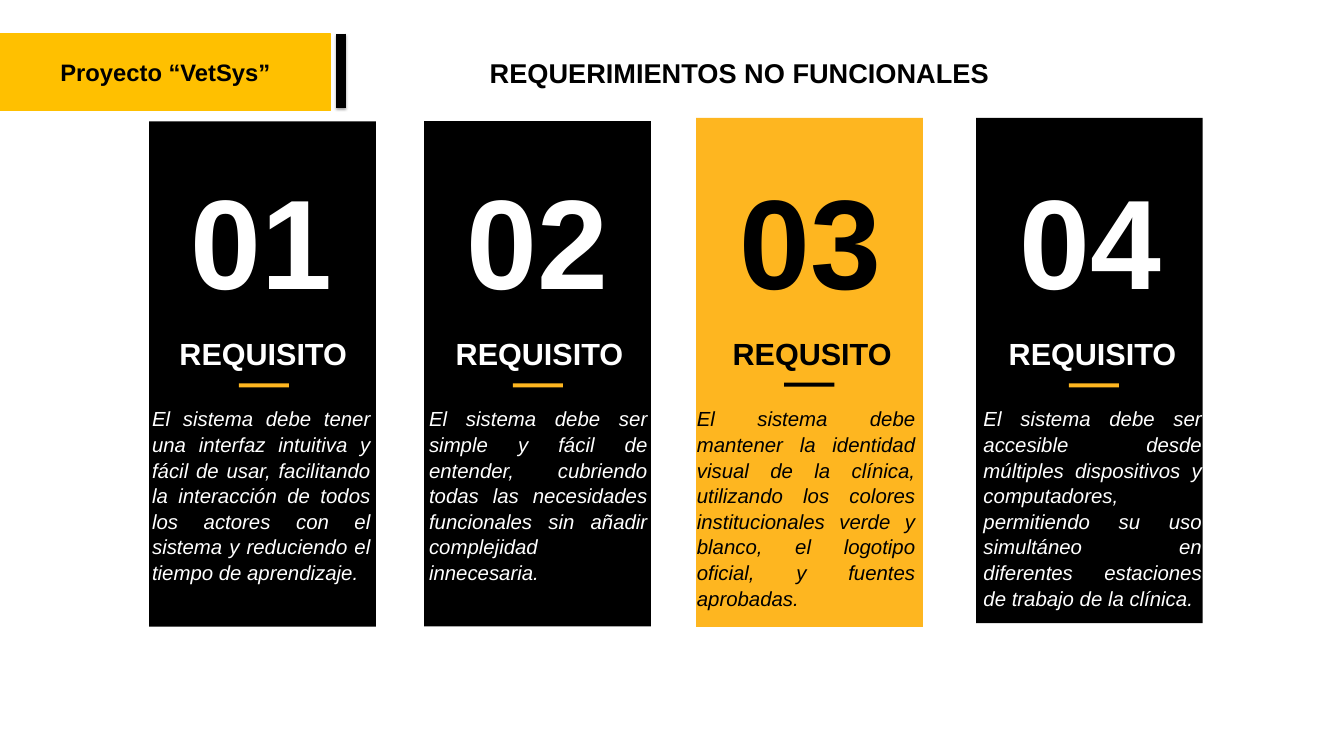
from dataclasses import dataclass

from lxml.etree import SubElement
from pptx import Presentation
from pptx.dml.color import RGBColor
from pptx.enum.shapes import MSO_CONNECTOR as Connector, MSO_SHAPE as Shape
from pptx.enum.text import MSO_ANCHOR as Anchor, MSO_AUTO_SIZE as AutoSize, PP_ALIGN as Align
from pptx.oxml.ns import qn
from pptx.util import Cm, Pt


@dataclass(frozen=True)
class Theme:
    font: str = "Arial"
    black: str = "000000"
    white: str = "FFFFFF"
    amber: str = "FEB620"
    gold: str = "FFC000"
    number_size: int = 150
    heading_size: int = 36
    title_size: int = 32
    tag_size: int = 28
    body_size: int = 24


@dataclass(frozen=True)
class Card:
    """One requirement; lefts and tops are in centimetres."""
    number: str
    heading: str
    body: str
    panel: tuple
    heading_left: float
    rule: tuple
    body_left: float
    highlighted: bool = False


CARDS = [
    Card("01", "REQUISITO",
         "El sistema debe tener una interfaz intuitiva y fácil de usar, facilitando la "
         "interacción de todos los actores con el sistema y reduciendo el tiempo de aprendizaje.",
         (6.2, 5.05, 21), 6.76, (9.93, 15.93), 6.32),
    Card("02", "REQUISITO",
         "El sistema debe ser simple y fácil de entender, cubriendo todas las necesidades "
         "funcionales sin añadir complejidad innecesaria.",
         (17.63, 5.03, 21), 18.24, (21.31, 15.93), 17.83),
    Card("03", "REQUSITO",
         "El sistema debe mantener la identidad visual de la clínica, utilizando los colores "
         "institucionales verde y blanco, el logotipo oficial, y fuentes aprobadas.",
         (28.93, 4.9, 21.16), 29.57, (32.59, 15.9), 28.96, True),
    Card("04", "REQUISITO",
         "El sistema debe ser accesible desde múltiples dispositivos y computadores, "
         "permitiendo su uso simultáneo en diferentes estaciones de trabajo de la clínica.",
         (40.56, 4.9, 21), 41.22, (44.42, 15.93), 40.87),
]


class SlideBuilder:
    def __init__(self, page, theme):
        self.page = page
        self.theme = theme

    def fill_text(self, frame, text, size, color, align=Align.CENTER, bold=True,
                  italic=False, spacing=1.0):
        frame.word_wrap = True
        frame.auto_size = AutoSize.NONE
        para = frame.paragraphs[0]
        para.alignment = align
        para.line_spacing = spacing
        span = para.add_run()
        span.text = text
        font = span.font
        font.name, font.size = self.theme.font, Pt(size)
        font.bold, font.italic = bold, italic
        font.color.rgb = RGBColor.from_string(color)

    def title(self, text, left, top, width, height):
        box = self.page.shapes.title
        box.left, box.top, box.width, box.height = map(Cm, (left, top, width, height))
        box.text_frame.vertical_anchor = Anchor.TOP
        self.fill_text(box.text_frame, text, self.theme.title_size, self.theme.black, spacing=1.05)

    def block(self, left, top, width, height, color):
        block = self.page.shapes.add_shape(Shape.RECTANGLE, *map(Cm, (left, top, width, height)))
        block.shadow.inherit = False
        block.fill.solid()
        block.fill.fore_color.rgb = RGBColor.from_string(color)
        block.line.fill.background()
        return block

    def tag(self, text, left, top, width, height):
        tag = self.block(left, top, width, height, self.theme.gold)
        tag.line.color.rgb = RGBColor.from_string(self.theme.gold)
        tag.line.width = Pt(2)
        tag.text_frame.vertical_anchor = Anchor.MIDDLE
        self.fill_text(tag.text_frame, text, self.theme.tag_size, self.theme.black)

    def text(self, text, left, top, width, height, size, color, **style):
        box = self.page.shapes.add_textbox(*map(Cm, (left, top, width, height)))
        frame = box.text_frame
        frame.margin_left = frame.margin_right = frame.margin_top = frame.margin_bottom = 0
        self.fill_text(frame, text, size, color, **style)

    def divider(self, x, top, bottom):
        line = self.page.shapes.add_connector(Connector.STRAIGHT, *map(Cm, (x, top, x, bottom)))
        line.line.color.rgb = RGBColor.from_string(self.theme.black)
        line.line.width = Pt(10.75)
        # Soft shadow just below the bar
        effects = SubElement(line._element.spPr, qn("a:effectLst"))
        shadow = SubElement(effects, qn("a:outerShdw"), blurRad=str(Pt(3.1)),
                            dist=str(Pt(1.8)), dir="5400000", rotWithShape="0")
        tint = SubElement(shadow, qn("a:srgbClr"), val=self.theme.black)
        SubElement(tint, qn("a:alpha"), val="35000")

    def card(self, card):
        theme = self.theme
        fill, ink, accent = ((theme.amber, theme.black, theme.black) if card.highlighted
                             else (theme.black, theme.white, theme.amber))
        left, top, height = card.panel
        self.block(left, top, 9.42, height, fill)
        self.block(*card.rule, 2.08, 0.17, accent)
        self.text(card.number, card.heading_left, 6.12, 8.2, 6.4,
                  theme.number_size, ink, spacing=1.1)
        self.text(card.heading, card.heading_left, 13.79, 8.36, 1.55,
                  theme.heading_size, ink, spacing=1.1)
        self.text(card.body, card.body_left, 16.84, 9.07, 8.2, theme.body_size, ink,
                  align=Align.JUSTIFY, bold=False, italic=True, spacing=1.05)


def main():
    deck = Presentation()
    deck.slide_width, deck.slide_height = Cm(55.85), Cm(31.42)
    page = deck.slides.add_slide(deck.slide_layouts[5])
    builder = SlideBuilder(page, Theme())

    # Header
    builder.tag("Proyecto “VetSys”", 0, 1.4, 13.74, 3.2)
    builder.divider(14.17, 1.4, 4.5)
    builder.title("REQUERIMIENTOS NO FUNCIONALES", 19.25, 2.13, 22.96, 1.63)

    # Requirement cards
    for card in CARDS:
        builder.card(card)

    deck.save("out.pptx")


if __name__ == "__main__":
    main()
